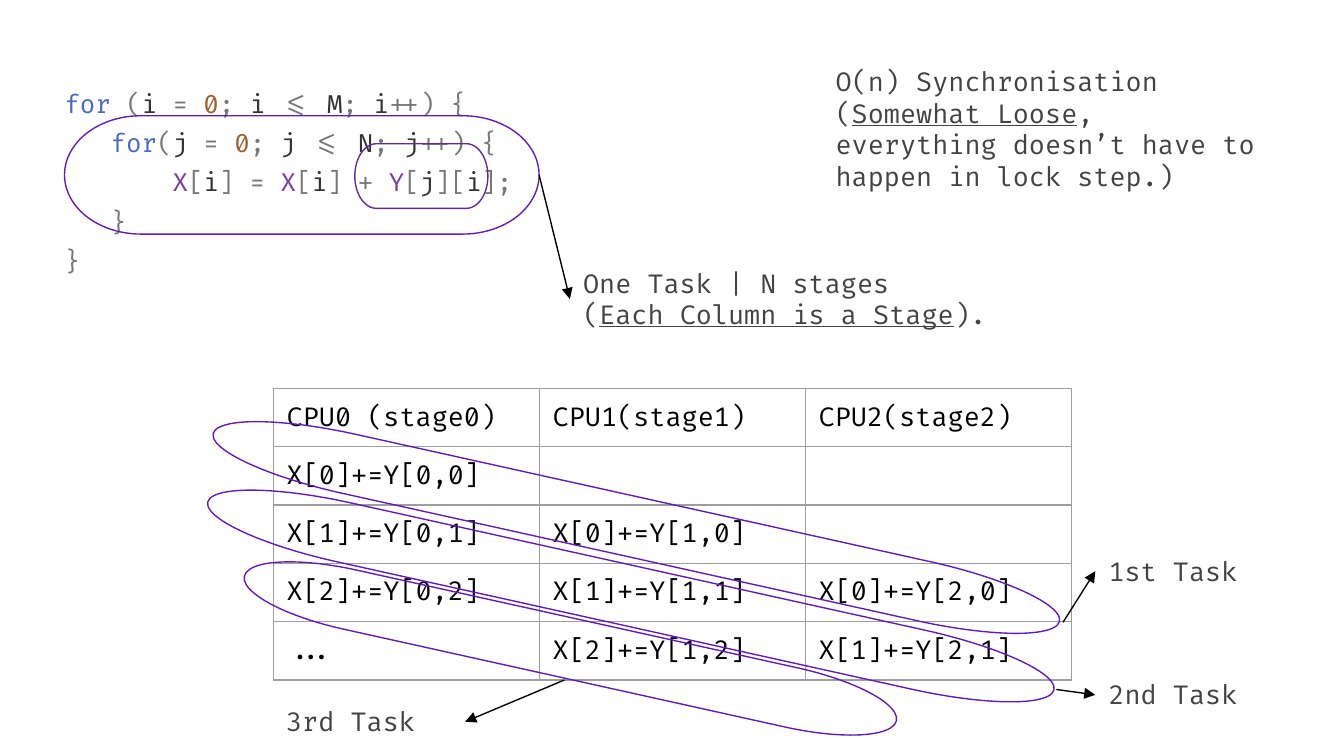
import itertools

import lxml.etree
import pptx
import pptx.dml.color
import pptx.enum.shapes
import pptx.enum.text
import pptx.oxml.ns
import pptx.util

Pt = pptx.util.Pt
qn = pptx.oxml.ns.qn
FONT = "Fira Code"
INSET = Pt(7.2)


def rgb(code):
    return pptx.dml.color.RGBColor.from_string(code)


def style(font, size, color):
    font.name, font.size = FONT, Pt(size)
    font.color.rgb = rgb(color)


deck = pptx.Presentation()
deck.slide_width, deck.slide_height = Pt(720), Pt(405)
slide = deck.slides.add_slide(deck.slide_layouts[6])
shapes = slide.shapes

# Text boxes: left, top, width, height, paragraphs (underlined parts between _)
code_lines = [
    "for (i = 0; i <= M; i++) {",
    "   for(j = 0; j <= N; j++) {",
    "       X[i] = X[i] + Y[j][i];",
    "   }",
    "}",
]
texts = {
    "code": (27.5, 35.2, 283, 138.2, code_lines),
    "stages": (305.3, 136.1, 242.6, 48.2,
               ["One Task | N stages", "(_Each Column is a Stage_)."]),
    "first": (586.8, 290.2, 103, 31.7, ["1st Task"]),
    "second": (586.8, 356.4, 103, 31.7, ["2nd Task"]),
    "third": (146.2, 370.8, 103, 31.7, ["3rd Task"]),
    "sync": (440.6, 28.1, 242.6, 82.1,
             ["O(n) Synchronisation\v(_Somewhat Loose_, "
              "everything doesn’t have to happen in lock step.)"]),
}
syntax_colors = {}
for characters, color in [("for", "4B69C6"), ("0", "9C5D27"),
                          ("XY", "7A3E9D"), ("ijMN", "333333")]:
    syntax_colors.update(dict.fromkeys(characters, color))

boxes = {}
for part, (left, top, width, height, lines) in texts.items():
    box = shapes.add_textbox(Pt(left), Pt(top), Pt(width), Pt(height))
    boxes[part] = box
    frame = box.text_frame
    frame.word_wrap = True
    frame.auto_size = pptx.enum.text.MSO_AUTO_SIZE.SHAPE_TO_FIT_TEXT
    frame.margin_left = frame.margin_right = INSET
    frame.margin_top = frame.margin_bottom = INSET
    frame.text = "\n".join([""] * len(lines))
    for paragraph, line in zip(frame.paragraphs, lines):
        if part == "code":
            paragraph.line_spacing = 1.3
            for color, token in itertools.groupby(
                    line, lambda sign: syntax_colors.get(sign, "777777")):
                run = paragraph.add_run()
                run.text = "".join(token)
                style(run.font, 13.5, color)
        else:
            first_piece, *other_pieces = line.split("_")
            paragraph.text = first_piece
            for piece in other_pieces:
                paragraph.add_run().text = piece
            for run in paragraph.runs:
                style(run.font, 14, "434343")
            if other_pieces:
                paragraph.runs[-2].font.underline = True

# Schedule table
schedule = [
    ["CPU0 (stage0)", "CPU1(stage1)", "CPU2(stage2)"],
    ["X[0]+=Y[0,0]", "", ""],
    ["X[1]+=Y[0,1]", "X[0]+=Y[1,0]", ""],
    ["X[2]+=Y[0,2]", "X[1]+=Y[1,1]", "X[0]+=Y[2,0]"],
    ["...", "X[2]+=Y[1,2]", "X[1]+=Y[2,1]"],
]
table = shapes.add_table(5, 3, Pt(146.4), Pt(208.1), Pt(427.5), Pt(156)).table
table.first_row = table.horz_banding = False
for column in table.columns:
    column.width = Pt(142.5)
for row, entries in zip(table.rows, schedule):
    row.height = Pt(31.2)
    for cell, entry in zip(row.cells, entries):
        cell.margin_left = cell.margin_right = INSET
        cell.margin_top = cell.margin_bottom = INSET
        cell.text = entry
        paragraph = cell.text_frame.paragraphs[0]
        for run in paragraph.runs:
            style(run.font, 14, "000000")
        if not entry:
            # Keeps empty cells from stretching the row
            lxml.etree.SubElement(paragraph._p, qn("a:endParaRPr"), sz="1400")
        properties = cell._tc.get_or_add_tcPr()
        for side in ("a:lnL", "a:lnR", "a:lnT", "a:lnB"):
            border = lxml.etree.SubElement(properties, qn(side), w=str(Pt(0.75)))
            fill = lxml.etree.SubElement(border, qn("a:solidFill"))
            lxml.etree.SubElement(fill, qn("a:srgbClr"), val="9E9E9E")
        cell.fill.background()

# Outlines around the inner expression, the tasks and the loop
outlines = [
    (190.1, 77, 71.3, 34.6, 0, "5E2B97"),
    (108.7, 266.4, 464.4, 32.4, 12.5, "611BB8"),
    (105.8, 303.1, 464.4, 32.4, 12.5, "611BB8"),
    (126.7, 331.2, 357.8, 32.4, 12.5, "611BB8"),
    (34.6, 62, 254.2, 63.4, 0, "611BB8"),
]
for left, top, width, height, angle, color in outlines:
    outline = shapes.add_shape(
        pptx.enum.shapes.MSO_SHAPE.FLOWCHART_TERMINATOR,
        Pt(left), Pt(top), Pt(width), Pt(height))
    outline.rotation = angle
    outline.shadow.inherit = False
    outline.fill.background()
    outline.line.color.rgb = rgb(color)
    outline.line.width = Pt(0.75)
loop_outline = outline

# Arrows: start, label they point to, side of the label
arrows = [
    (288.8, 93.7, "stages", 1),
    (569.5, 333.4, "first", 1),
    (565.9, 369.4, "second", 1),
    (302.4, 364.3, "third", 3),
]
for x, y, label, side in arrows:
    arrow = shapes.add_connector(
        pptx.enum.shapes.MSO_CONNECTOR.STRAIGHT, Pt(x), Pt(y), Pt(x), Pt(y))
    if label == "stages":
        arrow.begin_connect(loop_outline, 3)
    arrow.end_connect(boxes[label], side)
    arrow.line.color.rgb = rgb("000000")
    arrow.line.width = Pt(0.75)
    lxml.etree.SubElement(arrow.line._get_or_add_ln(), qn("a:tailEnd"),
                          type="triangle")
    lxml.etree.SubElement(arrow._element.spPr, qn("a:effectLst"))

deck.save("out.pptx")
